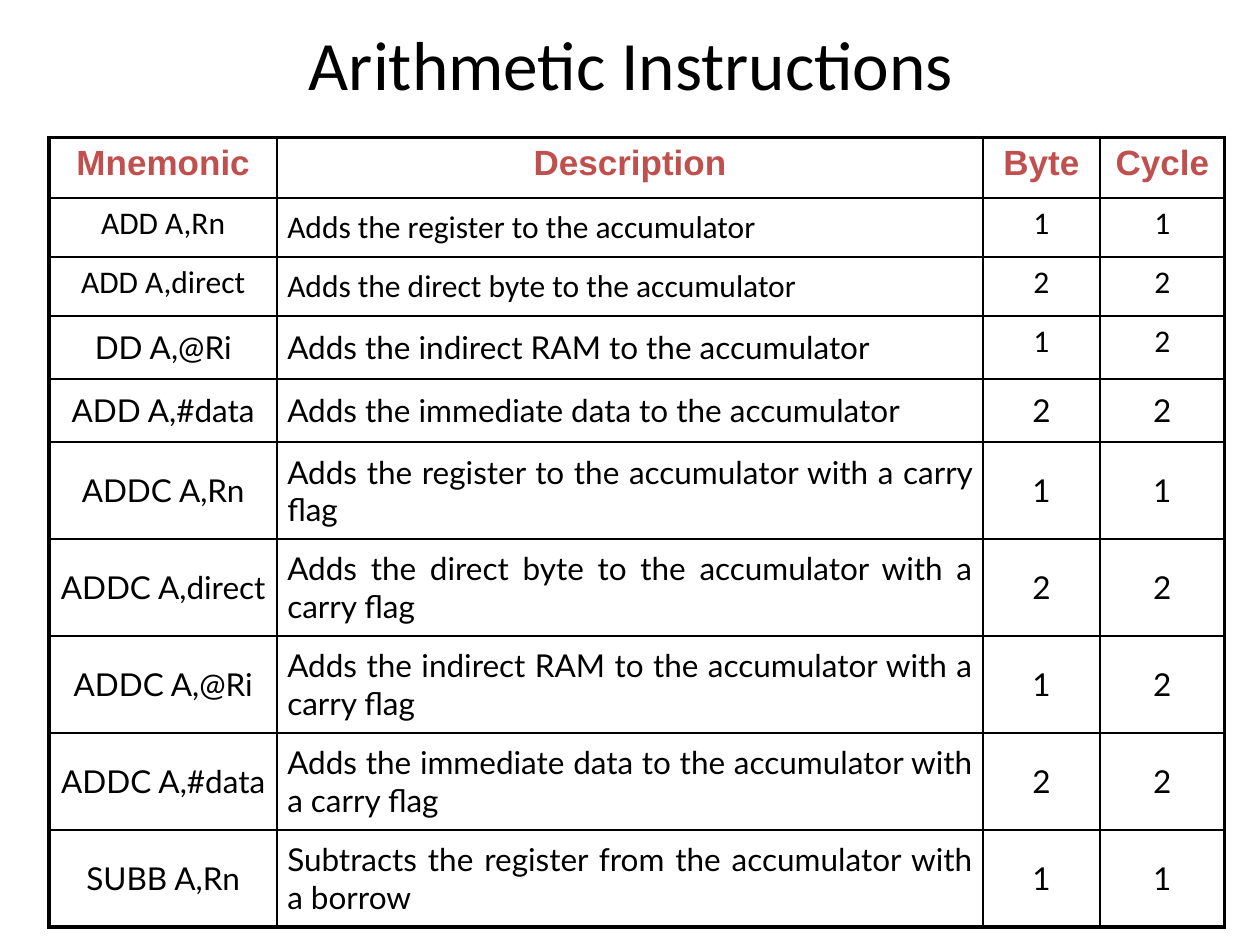
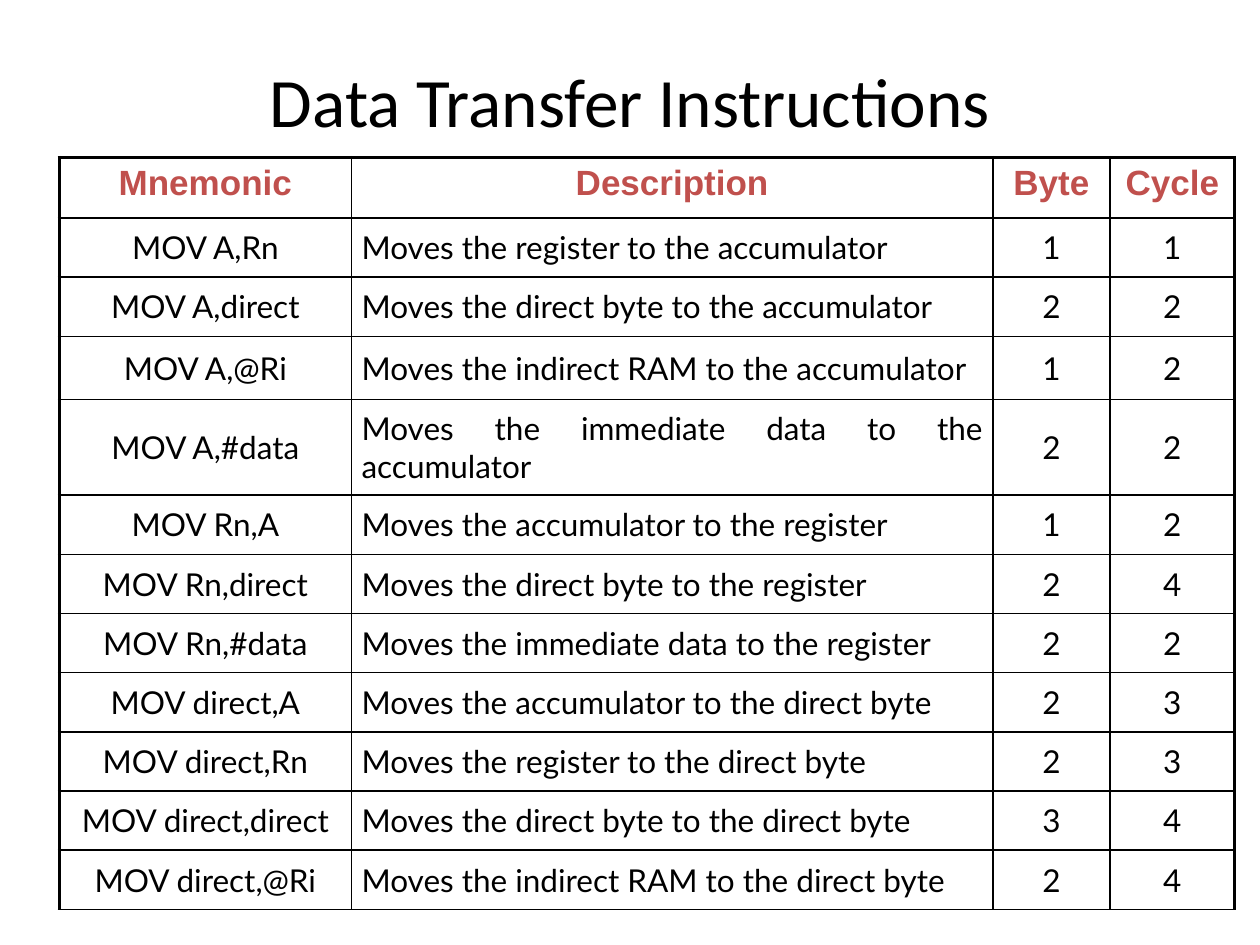
import lxml.etree
import pptx
import pptx.dml.color
import pptx.enum.text
import pptx.oxml.ns
import pptx.util

Inches = pptx.util.Inches
Pt = pptx.util.Pt
ALIGN = pptx.enum.text.PP_ALIGN
ANCHOR = pptx.enum.text.MSO_ANCHOR
BLACK = pptx.dml.color.RGBColor(0x00, 0x00, 0x00)
HEADER_RED = pptx.dml.color.RGBColor(0xC0, 0x50, 0x4D)

THIN, THICK = 1, 2.25
HEADINGS = ("Mnemonic", "Description", "Byte", "Cycle")

arithmetic = [
    ("ADD A,Rn", "Adds the register to the accumulator", 1, 1),
    ("ADD A,direct", "Adds the direct byte to the accumulator", 2, 2),
    ("DD A,@Ri", "Adds the indirect RAM to the accumulator", 1, 2),
    ("ADD A,#data", "Adds the immediate data to the accumulator", 2, 2),
    ("ADDC A,Rn", "Adds the register to the accumulator with a carry flag", 1, 1),
    ("ADDC A,direct", "Adds the direct byte to the accumulator with a carry flag", 2, 2),
    ("ADDC A,@Ri", "Adds the indirect RAM to the accumulator with a carry flag", 1, 2),
    ("ADDC A,#data", "Adds the immediate data to the accumulator with a carry flag", 2, 2),
    ("SUBB A,Rn", "Subtracts the register from the accumulator with a borrow", 1, 1),
]
data_transfer = [
    ("MOV A,Rn", "Moves the register to the accumulator", 1, 1),
    ("MOV A,direct", "Moves the direct byte to the accumulator", 2, 2),
    ("MOV A,@Ri", "Moves the indirect RAM to the accumulator", 1, 2),
    ("MOV A,#data", "Moves the immediate data to the accumulator", 2, 2),
    ("MOV Rn,A", "Moves the accumulator to the register", 1, 2),
    ("MOV Rn,direct", "Moves the direct byte to the register", 2, 4),
    ("MOV Rn,#data", "Moves the immediate data to the register", 2, 2),
    ("MOV direct,A", "Moves the accumulator to the direct byte", 2, 3),
    ("MOV direct,Rn", "Moves the register to the direct byte", 2, 3),
    ("MOV direct,direct", "Moves the direct byte to the direct byte", 3, 4),
    ("MOV direct,@Ri", "Moves the indirect RAM to the direct byte", 2, 4),
]

# Body cells (row, column) set in Calibri, and those of them aligned to the top
calibri_cells = {(row, col) for row in (1, 2) for col in range(4)} | {(3, 2), (3, 3)}
top_cells = calibri_cells - {(1, 1), (2, 1)}

pages = [
    dict(title="Arithmetic Instructions", title_box=(0.7, 0.23, 8.62, 0.54),
         instructions=arithmetic, corner=(0.39, 1.09),
         widths=(1.81, 5.6, 0.93, 0.99),
         heights=[0.48, 0.47, 0.47, 0.5, 0.5] + [0.77] * 5,
         calibri=calibri_cells, top=top_cells, bottom_line=THICK),
    dict(title="Data Transfer Instructions", title_box=(0.69, 0.4, 8.62, 0.78),
         instructions=data_transfer, corner=(0.47, 1.25),
         widths=(2.32, 5.09, 0.93, 0.99),
         heights=[0.48, 0.47, 0.47, 0.5, 0.76] + [0.47] * 7,
         calibri=set(), top=set(), bottom_line=THIN),
]


def add_text(paragraph, text, font_name, size, color, bold=False):
    run = paragraph.add_run()
    run.text = text
    run.font.name = font_name
    run.font.size = Pt(size)
    run.font.color.rgb = color
    run.font.bold = bold


def set_borders(cell, widths):
    """Draw black cell borders; widths are points for left, right, top, bottom."""
    properties = cell._tc.get_or_add_tcPr()
    qn = pptx.oxml.ns.qn
    for position, (side, width) in enumerate(zip("LRTB", widths)):
        line = lxml.etree.Element(qn(f"a:ln{side}"), w=str(Pt(width)))
        fill = lxml.etree.SubElement(line, qn("a:solidFill"))
        lxml.etree.SubElement(fill, qn("a:srgbClr"), val=str(BLACK))
        properties.insert(position, line)


deck = pptx.Presentation()
deck.slide_width = Inches(10)
deck.slide_height = Inches(7.5)

for page in pages:
    slide = deck.slides.add_slide(deck.slide_layouts[6])

    title = slide.shapes.add_textbox(*map(Inches, page["title_box"])).text_frame
    title.word_wrap = True
    title.vertical_anchor = ANCHOR.MIDDLE
    title.paragraphs[0].alignment = ALIGN.CENTER
    add_text(title.paragraphs[0], page["title"], "Calibri", 39.6, BLACK)

    rows = [HEADINGS] + page["instructions"]
    last_row, last_col = len(rows) - 1, len(HEADINGS) - 1
    left, top = page["corner"]
    table = slide.shapes.add_table(
        len(rows), len(HEADINGS), Inches(left), Inches(top),
        Inches(sum(page["widths"])), Inches(sum(page["heights"]))).table
    table.horz_banding = False
    for column, width in zip(table.columns, page["widths"]):
        column.width = Inches(width)
    for table_row, height in zip(table.rows, page["heights"]):
        table_row.height = Inches(height)

    for r, values in enumerate(rows):
        for c, value in enumerate(values):
            cell = table.cell(r, c)
            cell.fill.background()
            at_top = r == 0 or (r, c) in page["top"]
            cell.vertical_anchor = ANCHOR.TOP if at_top else ANCHOR.MIDDLE
            cell.margin_left = cell.margin_right = Inches(0.1 if at_top else 0.08)
            cell.margin_top = cell.margin_bottom = Inches(0.05 if at_top else 0.08)

            paragraph = cell.text_frame.paragraphs[0]
            is_description = r > 0 and c == 1
            paragraph.alignment = ALIGN.JUSTIFY if is_description else ALIGN.CENTER
            if r == 0:
                add_text(paragraph, value, "Arial", 20, HEADER_RED, bold=True)
            else:
                font_name = "Calibri" if (r, c) in page["calibri"] else "Lato"
                add_text(paragraph, str(value), font_name, 18, BLACK)

            set_borders(cell, (THICK if c == 0 else THIN,
                               THICK if c == last_col else THIN,
                               THICK if r == 0 else THIN,
                               page["bottom_line"] if r == last_row else THIN))

deck.save("out.pptx")
